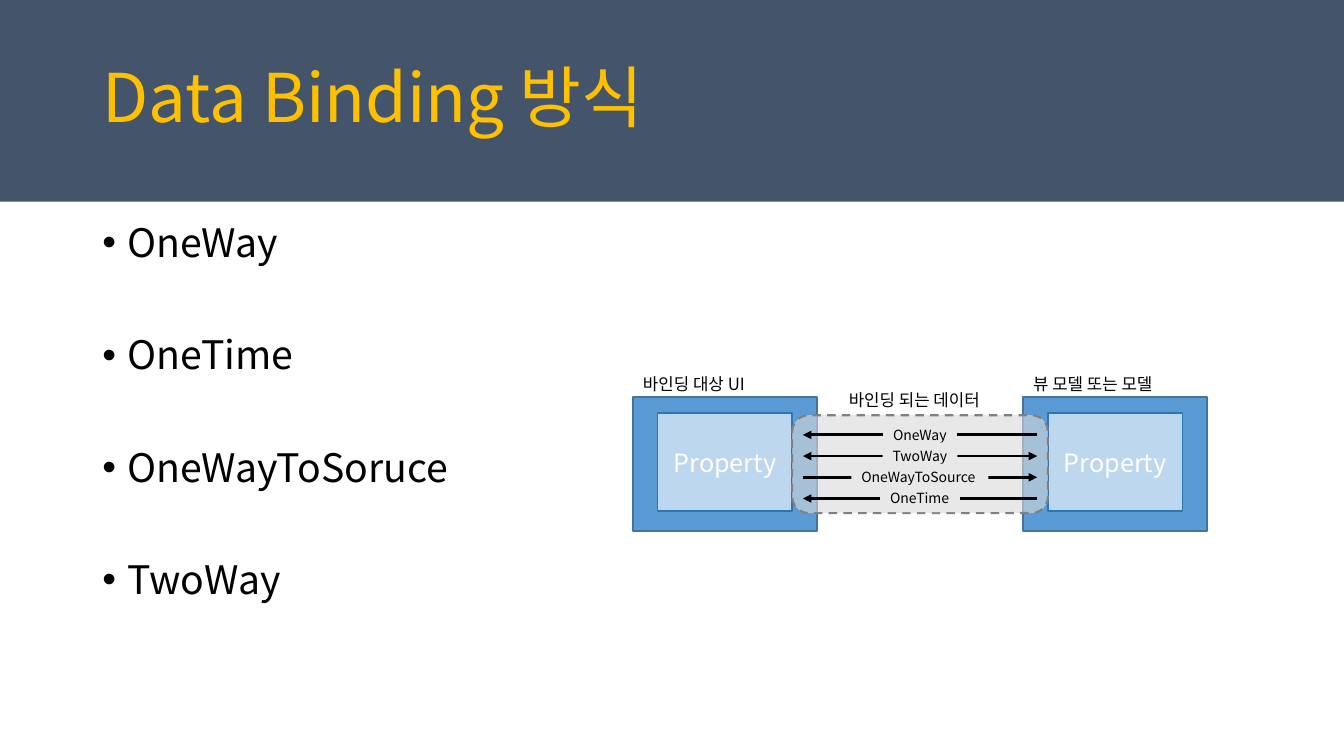
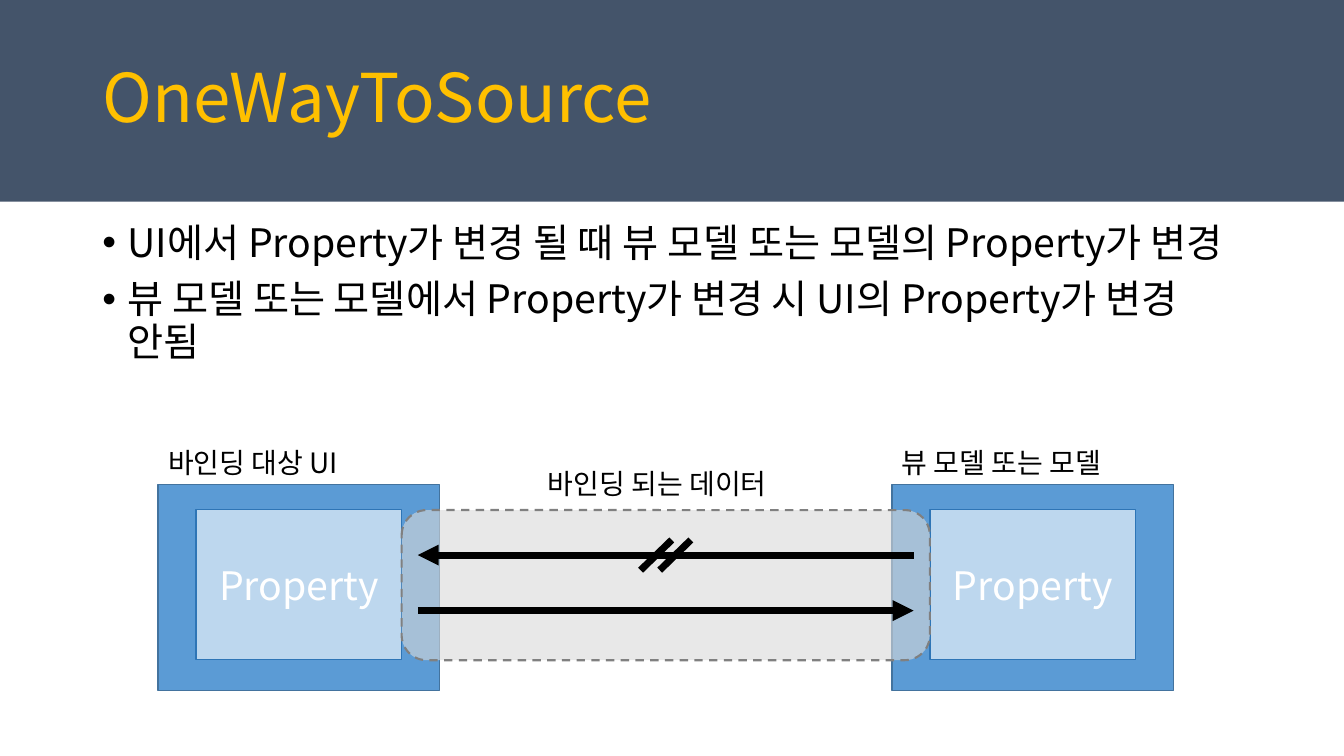
from lxml.etree import SubElement
from pptx import Presentation
from pptx.dml.color import RGBColor
from pptx.enum.dml import MSO_LINE
from pptx.enum.shapes import MSO_CONNECTOR, MSO_SHAPE
from pptx.enum.text import MSO_ANCHOR, MSO_AUTO_SIZE, PP_ALIGN
from pptx.oxml.ns import qn
from pptx.util import Inches, Pt

FONT = "Noto Sans CJK KR"
SLATE, GOLD, BLACK, WHITE = "44546A", "FFC000", "000000", "FFFFFF"
NODE_BLUE, NODE_EDGE = "5B9BD5", "43739E"
PROPERTY_BLUE, PROPERTY_EDGE = "BDD7EE", "2E75B6"
CHANNEL_GREY, CHANNEL_EDGE, LABEL_GREY = "D9D9D9", "808080", "E8E8E8"

deck = Presentation()
deck.slide_width, deck.slide_height = Inches(13.333), Inches(7.5)
X, Y = deck.slide_width / 100, deck.slide_height / 100
title_only = deck.slide_layouts[5]


def dress(shape, area, lines=(), size=12, colour=BLACK, fill=None, edge=None,
          edge_width=1, frame_style=None, text_style=None):
    place = zip(("left", "top", "width", "height"), area, (X, Y, X, Y))
    for name, share, unit in place:
        setattr(shape, name, round(share * unit))
    shape.shadow.inherit = False
    for paint, tone in ((shape.fill, fill), (shape.line.fill, edge)):
        if tone:
            paint.solid()
            paint.fore_color.rgb = RGBColor.from_string(tone)
        else:
            paint.background()
    if edge:
        shape.line.width = Pt(edge_width)
    frame = shape.text_frame
    frame_format = {"word_wrap": True, "auto_size": MSO_AUTO_SIZE.NONE,
                    "vertical_anchor": MSO_ANCHOR.TOP}
    for name, value in (frame_format | (frame_style or {})).items():
        setattr(frame, name, value)
    for index, line in enumerate(lines):
        paragraph = frame.add_paragraph() if index else frame.paragraphs[0]
        text_format = {"alignment": PP_ALIGN.LEFT} | (text_style or {})
        for name, value in text_format.items():
            setattr(paragraph, name, value)
        run = paragraph.add_run()
        run.text = line
        for name, value in {"size": Pt(size), "name": FONT}.items():
            setattr(run.font, name, value)
        run.font.color.rgb = RGBColor.from_string(colour)
        SubElement(run.font._element, qn("a:ea"), typeface=FONT)
    return shape


def draw_line(slide, start, end, width, arrows=()):
    ends = [round(share * unit) for share, unit in zip((*start, *end), (X, Y, X, Y))]
    line = slide.shapes.add_connector(MSO_CONNECTOR.STRAIGHT, *ends)
    line.line.color.rgb = RGBColor.from_string(BLACK)
    line.line.width = Pt(width)
    properties = line.element.spPr
    for arrow in arrows:
        SubElement(properties.find(qn("a:ln")), qn(f"a:{arrow}"), type="triangle")
    SubElement(properties, qn("a:effectLst"))


TO_UI, TO_MODEL = ("headEnd",), ("tailEnd",)
BOTH_WAYS = TO_UI + TO_MODEL

pages = [
    {
        "title": "Data Binding 방식",
        "bullets": ["OneWay", "OneTime", "OneWayToSoruce", "TwoWay"],
        "bullet_gap": 50,
        "node": (47.1, 52.53, 13.68, 17.73), "pitch": 29.03,
        "caption_size": 12, "caption_rise": 3.73, "property_size": 18,
        "channel_top": 54.93, "channel_caption": (50.93, 12.08),
        "line_width": 2, "line_inset": 0.8, "first_row": 0.2, "row_step": 0.217,
        "modes": [("OneWay", 5.5, TO_UI), ("TwoWay", 5.55, BOTH_WAYS),
                  ("OneWayToSource", 10.2, TO_MODEL), ("OneTime", 5.93, TO_UI)],
        "blocked": False,
    },
    {
        "title": "OneWayToSource",
        "bullets": ["UI에서 Property가 변경 될 때 뷰 모델 또는 모델의 Property가 변경",
                    "뷰 모델 또는 모델에서 Property가 변경 시 UI의 Property가 변경 안됨"],
        "bullet_gap": 10,
        "node": (11.77, 64.13, 20.93, 27.2), "pitch": 54.6,
        "caption_size": 20, "caption_rise": 5.87, "property_size": 28,
        "channel_top": 67.47, "channel_caption": (61.07, 19.05),
        "line_width": 5, "line_inset": 1.2, "first_row": 0.3, "row_step": 0.37,
        "modes": [(None, 0, TO_UI), (None, 0, TO_MODEL)],
        "blocked": True,
    },
]

for number, page in enumerate(pages):
    slide = deck.slides.add_slide(title_only)
    shapes = slide.shapes
    if number == 0:
        band = dress(shapes.add_shape(MSO_SHAPE.RECTANGLE, 0, 0, 0, 0),
                     (0, 0, 100, 26.67), fill=SLATE)
        title_only.shapes.element.insert(2, band.element)

    dress(shapes.title, (6.88, 5.33, 86.25, 15.9), [page["title"]], 48, GOLD,
          frame_style={"vertical_anchor": MSO_ANCHOR.MIDDLE},
          text_style={"line_spacing": 0.9})

    bullets = dress(shapes.add_textbox(0, 0, 0, 0), (6.88, 28.9, 86.25, 61.2),
                    page["bullets"], 28, text_style={"line_spacing": 0.9})
    for index, bullet in enumerate(bullets.text_frame.paragraphs):
        bullet.space_before = Pt(page["bullet_gap"] if index else 10)
        layout = bullet._p.get_or_add_pPr()
        for name, inches in {"marL": 0.25, "indent": -0.25}.items():
            layout.set(name, str(Inches(inches)))
        SubElement(layout, qn("a:buFont"), typeface="Arial")
        SubElement(layout, qn("a:buChar"), char="•")

    left, top, width, height = page["node"]
    margin = 0.1345 * width
    for column, caption in enumerate(("바인딩 대상 UI", "뷰 모델 또는 모델")):
        node_left = left + column * page["pitch"]
        dress(shapes.add_shape(MSO_SHAPE.RECTANGLE, 0, 0, 0, 0),
              (node_left, top, width, height), fill=NODE_BLUE, edge=NODE_EDGE)
        dress(shapes.add_shape(MSO_SHAPE.RECTANGLE, 0, 0, 0, 0),
              (node_left + margin, top + 0.12 * height, width - 2 * margin, 0.73 * height),
              ["Property"], page["property_size"], WHITE, PROPERTY_BLUE, PROPERTY_EDGE,
              frame_style={"vertical_anchor": MSO_ANCHOR.MIDDLE},
              text_style={"alignment": PP_ALIGN.CENTER})
        dress(shapes.add_textbox(0, 0, 0, 0),
              (node_left, top - page["caption_rise"], width, page["caption_rise"]),
              [caption], page["caption_size"])

    channel_left = left + width - margin
    channel_width = page["pitch"] - width + 2 * margin
    channel_height = 0.73 * height
    centre = channel_left + channel_width / 2
    channel = dress(shapes.add_shape(MSO_SHAPE.ROUNDED_RECTANGLE, 0, 0, 0, 0),
                    (channel_left, page["channel_top"], channel_width, channel_height),
                    fill=CHANNEL_GREY, edge=CHANNEL_EDGE, edge_width=1.5)
    channel.line.dash_style = MSO_LINE.DASH
    tone = channel.element.spPr.find(qn("a:solidFill")).find(qn("a:srgbClr"))
    SubElement(tone, qn("a:alpha"), val="60000")

    caption_top, caption_width = page["channel_caption"]
    dress(shapes.add_textbox(0, 0, 0, 0),
          (centre - caption_width / 2, caption_top, caption_width, page["caption_rise"]),
          ["바인딩 되는 데이터"], page["caption_size"])

    reach = channel_width / 2 - page["line_inset"]
    for row, (mode, label_width, arrows) in enumerate(page["modes"]):
        share = page["first_row"] + row * page["row_step"]
        level = page["channel_top"] + share * channel_height
        draw_line(slide, (centre - reach, level), (centre + reach, level),
                  page["line_width"], arrows)
        if mode:
            dress(shapes.add_shape(MSO_SHAPE.RECTANGLE, 0, 0, 0, 0),
                  (centre - label_width / 2, level - 1.8, label_width, 3.6),
                  [mode], 10, fill=LABEL_GREY, frame_style={"margin_right": 0})
        if page["blocked"] and row == 0:
            for shift in (-0.71, 0.71):
                draw_line(slide, (centre + shift + 1.16, level - 2),
                          (centre + shift - 1.16, level + 2), page["line_width"])

deck.save("out.pptx")
